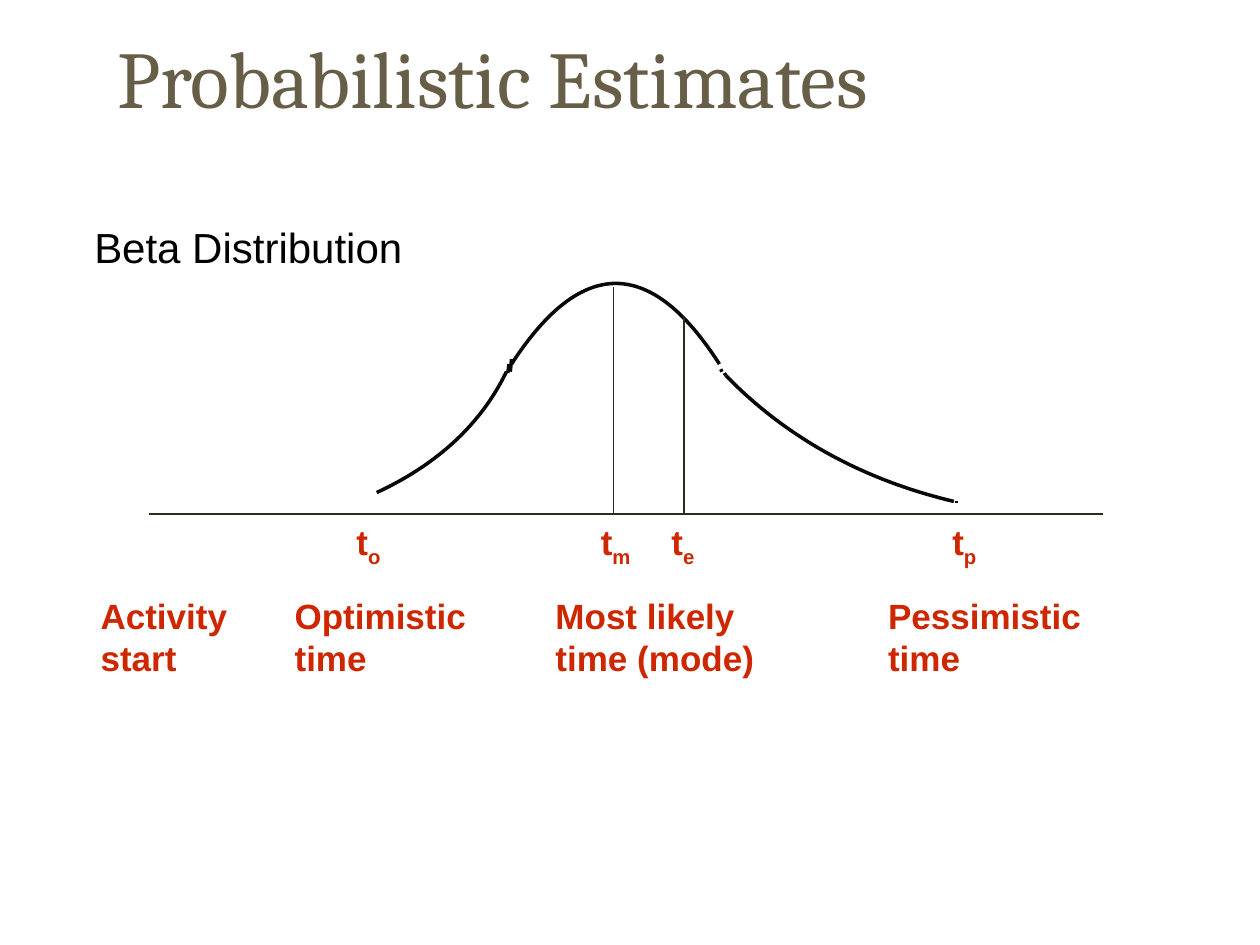
import pptx
import pptx.util
import pptx.dml.color
import pptx.enum.shapes
import pptx.enum.text
import pptx.oxml
from pptx.util import Inches

COLORS = {"title": "675E47", "curve": "080808", "axis": "2F2B20",
          "label": "CE2700", "text": "000000"}


def add_line(start, end, color, width):
    line = slide.shapes.add_connector(
        pptx.enum.shapes.MSO_CONNECTOR.STRAIGHT,
        Inches(start[0]), Inches(start[1]), Inches(end[0]), Inches(end[1]))
    line.line.color.rgb = pptx.dml.color.RGBColor.from_string(COLORS[color])
    line.line.width = pptx.util.Pt(width)
    line._element.spPr.append(pptx.oxml.parse_xml(
        '<a:effectLst xmlns:a="http://schemas.openxmlformats.org/drawingml/2006/main"/>'))


def add_text(left, top, width, height, lines, size, color, bold):
    """Add a text box; each line is a (text, subscript) pair."""
    box = slide.shapes.add_textbox(Inches(left), Inches(top), Inches(width), Inches(height))
    frame = box.text_frame
    frame.word_wrap = True
    frame.auto_size = pptx.enum.text.MSO_AUTO_SIZE.NONE
    frame.margin_right = 0  # spare room keeps each line unbroken
    for index, line in enumerate(lines):
        paragraph = frame.add_paragraph() if index else frame.paragraphs[0]
        for text, baseline in zip(line, (None, "-25000")):
            if not text:
                continue
            run = paragraph.add_run()
            run.text = text
            run.font.name = "Arial"
            run.font.size = pptx.util.Pt(size)
            run.font.bold = bold
            run.font.color.rgb = pptx.dml.color.RGBColor.from_string(COLORS[color])
            if baseline:
                run._r.get_or_add_rPr().set("baseline", baseline)


presentation = pptx.Presentation()
presentation.slide_width = Inches(10)
presentation.slide_height = Inches(7.5)
slide = presentation.slides.add_slide(presentation.slide_layouts[5])

title = slide.shapes.title
title.left, title.top = Inches(0.83), Inches(0.23)
title.width, title.height = Inches(8.5), Inches(0.81)
title.text_frame.vertical_anchor = pptx.enum.text.MSO_ANCHOR.BOTTOM
title_paragraph = title.text_frame.paragraphs[0]
title_paragraph.alignment = pptx.enum.text.PP_ALIGN.LEFT
title_run = title_paragraph.add_run()
title_run.text = "Probabilistic Estimates"
title_run.font.name = "Cambria"
title_run.font.size = pptx.util.Pt(46)
title_run.font.color.rgb = pptx.dml.color.RGBColor.from_string(COLORS["title"])

# Each part of the curve is a quadratic Bezier: start, control point, end
curve_parts = [
    ((4.06, 2.89), (4.89, 1.61), (5.71, 2.89)),
    ((2.99, 3.91), (3.72, 3.57), (4.02, 2.95)),
    ((5.76, 2.98), (6.48, 3.72), (7.57, 3.98)),
]
steps = 62
for part in curve_parts:
    points = []
    for step in range(steps + 1):
        t = step / steps
        weights = ((1 - t) ** 2, 2 * t * (1 - t), t ** 2)
        points.append(tuple(
            Inches(sum(weight * point[axis] for weight, point in zip(weights, part)))
            for axis in (0, 1)))
    builder = slide.shapes.build_freeform(*points[0])
    builder.add_line_segments(points[1:], close=False)
    curve = builder.convert_to_shape()
    curve.shadow.inherit = False
    curve.fill.background()
    curve.line.color.rgb = pptx.dml.color.RGBColor.from_string(COLORS["curve"])
    curve.line.width = pptx.util.Pt(2)

# Short strokes where the curve parts meet and end
for start, end in [((4.05, 2.95), (4.06, 2.85)), ((4.03, 2.96), (4.04, 2.89)),
                   ((5.72, 2.93), (5.73, 2.95)), ((5.75, 2.96), (5.76, 2.98)),
                   ((7.59, 3.98), (7.59, 3.99))]:
    add_line(start, end, "curve", 2)

add_line((1.18, 4.08), (8.75, 4.08), "axis", 1)
for x, top in [(4.87, 2.28), (5.43, 2.51)]:
    add_line((x, top), (x, 4.07), "axis", 1)

for left, width, first, second in [(0.7, 1.2, "Activity", "start"),
                                   (2.24, 1.56, "Optimistic", "time"),
                                   (4.31, 1.78, "Most likely", "time (mode)"),
                                   (6.95, 1.73, "Pessimistic", "time")]:
    add_text(left, 4.67, width, 0.76, [(first, ""), (second, "")], 20, "label", True)

for left, width, subscript in [(2.73, 0.39, "o"), (4.67, 0.43, "m"),
                               (5.23, 0.38, "e"), (7.46, 0.39, "p")]:
    add_text(left, 4.08, width, 0.48, [("t", subscript)], 20, "label", True)

add_text(0.65, 1.71, 2.64, 0.5, [("Beta Distribution", "")], 24, "text", False)

presentation.save("out.pptx")
